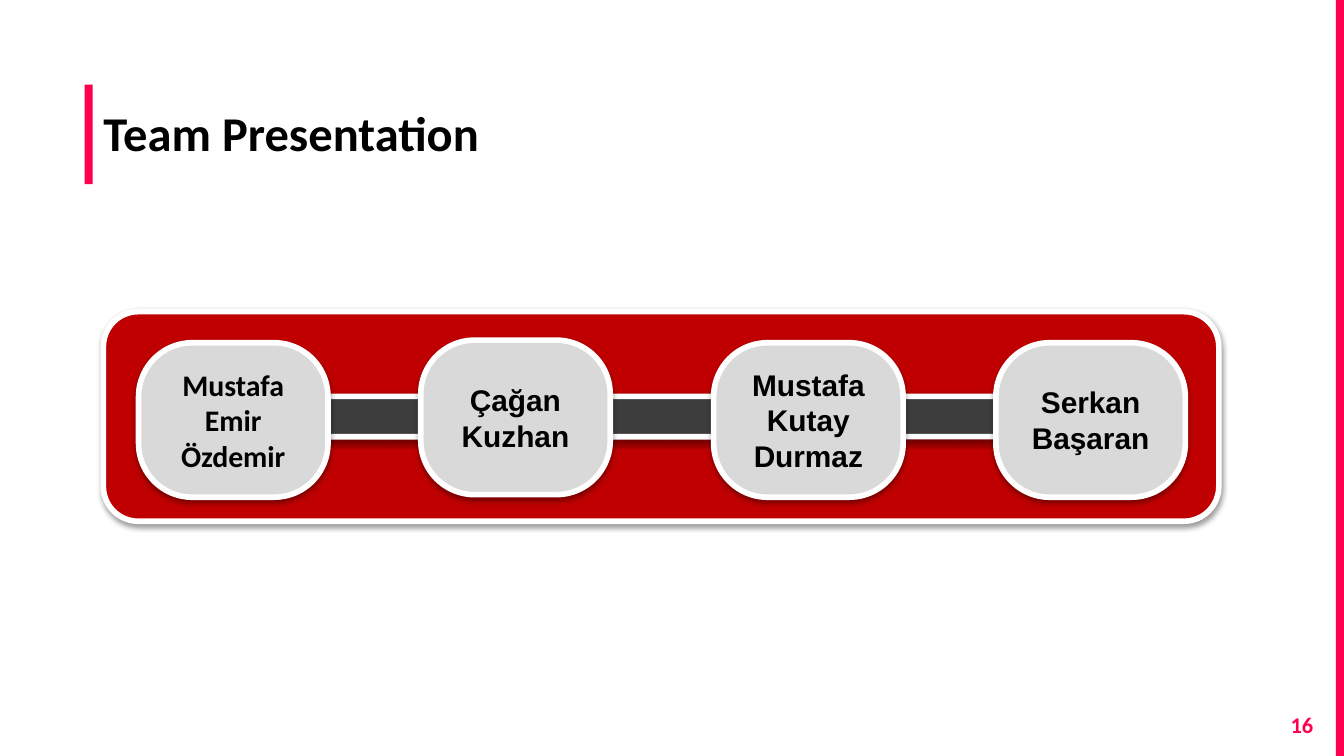
from dataclasses import dataclass

from lxml.etree import SubElement
from pptx import Presentation
from pptx.dml.color import RGBColor
from pptx.enum.shapes import MSO_SHAPE
from pptx.enum.text import MSO_ANCHOR, PP_ALIGN
from pptx.oxml.ns import qn
from pptx.shapes.autoshape import Shape
from pptx.slide import Slide
from pptx.text.text import TextFrame
from pptx.util import Pt

COLORS = {
    "accent": "FF004E",
    "panel": "C00000",
    "link": "3D3D3D",
    "card": "D9D9D9",
    "white": "FFFFFF",
    "black": "000000",
}


@dataclass(frozen=True)
class Box:
    left: float
    top: float
    width: float
    height: float

    def lengths(self) -> tuple[Pt, Pt, Pt, Pt]:
        return Pt(self.left), Pt(self.top), Pt(self.width), Pt(self.height)


@dataclass(frozen=True)
class Member:
    name: str
    left: float
    top: float = 183.6
    font: str = "Arial"


CARD_WIDTH, CARD_HEIGHT = 101.5, 82.8
MEMBERS = [
    Member("Mustafa Emir Özdemir", 74.2, font="Calibri"),
    Member("Çağan Kuzhan", 225.4, top=182.2),
    Member("Mustafa Kutay Durmaz", 382.3),
    Member("Serkan Başaran", 533.5),
]


def rgb(color: str) -> RGBColor:
    return RGBColor.from_string(COLORS[color])


def add_accent(slide: Slide, box: Box) -> None:
    accent = slide.shapes.add_shape(MSO_SHAPE.RECTANGLE, *box.lengths())
    accent.fill.solid()
    accent.fill.fore_color.rgb = rgb("accent")
    accent.line.fill.background()
    accent.shadow.inherit = False


def add_soft_shadow(shape: Shape) -> None:
    shape.shadow.inherit = False
    effects = shape._element.spPr.find(qn("a:effectLst"))
    shadow = SubElement(effects, qn("a:outerShdw"), blurRad=str(Pt(3.1)),
                        dist=str(Pt(1.6)), dir="5400000", rotWithShape="0")
    color = SubElement(shadow, qn("a:srgbClr"), val=COLORS["black"])
    SubElement(color, qn("a:alpha"), val="38000")


def add_rounded(slide: Slide, box: Box, fill: str, corner: float = 0.1667) -> Shape:
    rounded = slide.shapes.add_shape(MSO_SHAPE.ROUNDED_RECTANGLE, *box.lengths())
    rounded.adjustments[0] = corner
    rounded.fill.solid()
    rounded.fill.fore_color.rgb = rgb(fill)
    rounded.line.color.rgb = rgb("white")
    rounded.line.width = Pt(3)
    add_soft_shadow(rounded)
    return rounded


def write(frame: TextFrame, text: str, size: float, font: str, color: str,
          align: PP_ALIGN, anchor: MSO_ANCHOR) -> None:
    frame.text = text
    frame.word_wrap = True
    frame.vertical_anchor = anchor
    paragraph = frame.paragraphs[0]
    paragraph.alignment = align
    style = paragraph.runs[0].font
    style.size, style.name, style.bold = Pt(size), font, True
    style.color.rgb = rgb(color)


def set_insets(frame: TextFrame, inset: float) -> None:
    frame.margin_left = frame.margin_right = Pt(inset)
    frame.margin_top = frame.margin_bottom = Pt(inset)


def add_member(slide: Slide, member: Member) -> None:
    box = Box(member.left, member.top, CARD_WIDTH, CARD_HEIGHT)
    card = add_rounded(slide, box, "card", 0.349)
    write(card.text_frame, member.name, 16, member.font, "black",
          PP_ALIGN.CENTER, MSO_ANCHOR.MIDDLE)


def main() -> None:
    deck = Presentation()
    deck.slide_width, deck.slide_height = Pt(720), Pt(405)
    slide = deck.slides.add_slide(deck.slide_layouts[5])

    # Accent bars beside the title and along the right edge
    add_accent(slide, Box(45.4, 45.4, 4.3, 53.3))
    add_accent(slide, Box(715.7, 0, 4.3, 405))

    # Title
    title = slide.shapes.title
    title.left, title.top, title.width, title.height = Box(48.2, 48.2, 254.2, 67.7).lengths()
    write(title.text_frame, "Team Presentation", 26, "Calibri", "black",
          PP_ALIGN.LEFT, MSO_ANCHOR.TOP)
    set_insets(title.text_frame, 7.2)

    # Panel and the link running behind the cards
    add_rounded(slide, Box(55.4, 167, 597.6, 112.3), "panel")
    add_rounded(slide, Box(87.1, 212.4, 515.5, 21.6), "link")

    # Team members
    for member in MEMBERS:
        add_member(slide, member)

    # Page number
    page_number = slide.shapes.add_textbox(*Box(667.4, 373.7, 43.2, 31).lengths())
    write(page_number.text_frame, "16", 12, "Calibri", "accent",
          PP_ALIGN.RIGHT, MSO_ANCHOR.TOP)
    set_insets(page_number.text_frame, 7.2)

    deck.save("out.pptx")


if __name__ == "__main__":
    main()
